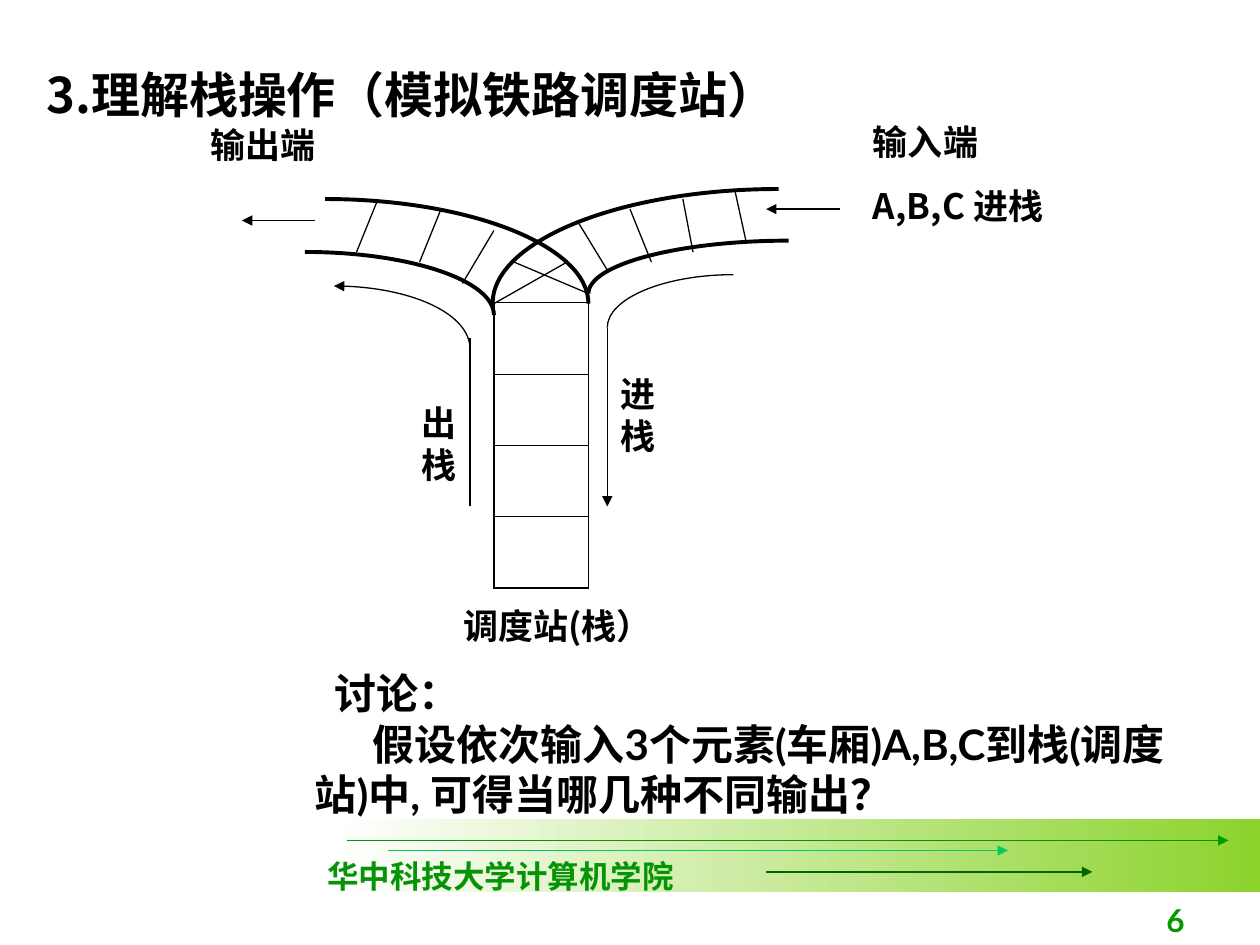
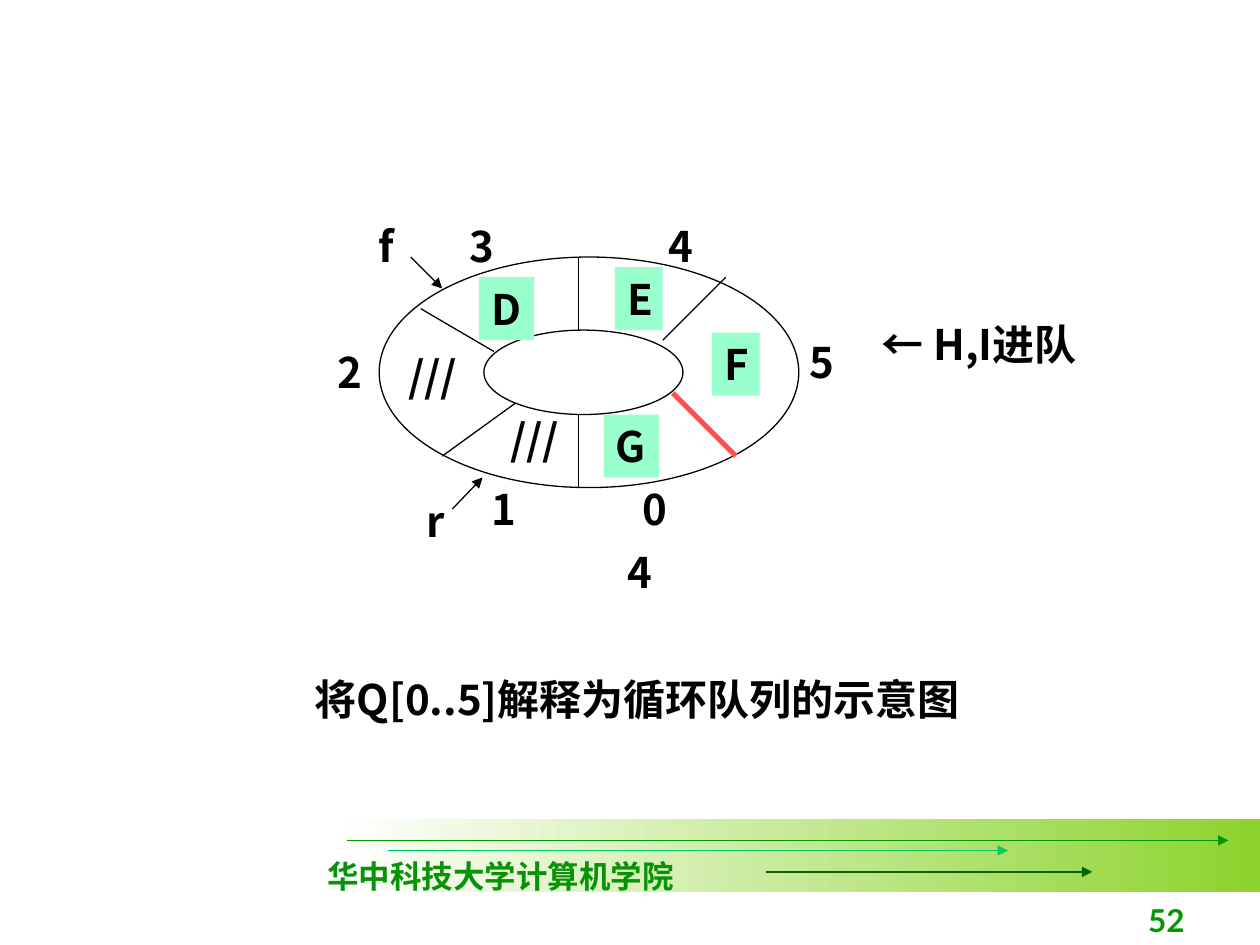
"""Build two slides on stacks (railway shunting station) and circular queues."""
from dataclasses import dataclass

from lxml.etree import SubElement
from pptx import Presentation
from pptx.dml.color import RGBColor
from pptx.enum.shapes import MSO_CONNECTOR, MSO_SHAPE
from pptx.enum.text import MSO_ANCHOR, PP_ALIGN
from pptx.oxml.ns import qn
from pptx.util import Emu, Pt

EMU_PER_PX = 9144
CJK = "Noto Sans CJK SC"
LATO = "Lato"
BLACK = "000000"
PAGE_GREEN = "009900"
SCHOOL_GREEN = "069406"
CELL_GREEN = "99FFCC"
REAR_RED = "FF5050"
BAND_STOPS = ("FFFFFF", "8CD32D")
LINE_HEIGHT = 1.2
QUARTER_PULL = 0.55


@dataclass(frozen=True)
class Label:
    """Text placed in a box; lengths in px, sizes in points."""

    text: str
    left: int
    top: int
    width: int
    height: int = 50
    size: int = 24
    font: str = CJK
    color: str = BLACK
    fill: str | None = None
    wrap: bool = False
    gap: float = 0
    spacing: float = LINE_HEIGHT
    align: PP_ALIGN = PP_ALIGN.LEFT
    anchor: MSO_ANCHOR = MSO_ANCHOR.TOP
    indents: tuple[int, ...] = ()


@dataclass(frozen=True)
class Stroke:
    """A straight line or quarter-ellipse between two points in px."""

    x1: int
    y1: int
    x2: int
    y2: int
    color: str = BLACK
    weight: float = 0.75
    arrow: str | None = None


FOOTER_ARROWS = (
    Stroke(275, 667, 975, 667, PAGE_GREEN, arrow="tailEnd"),
    Stroke(308, 675, 800, 675, "00CC66", arrow="tailEnd"),
    Stroke(608, 692, 867, 692, "006600", arrow="tailEnd"),
)
SCHOOL = Label("华中科技大学计算机学院", 250, 675, 295, 40, 18,
               "Times New Roman", SCHOOL_GREEN)

BENDS = (
    Stroke(242, 200, 392, 250, weight=2.25),
    Stroke(258, 158, 467, 241, weight=2.25),
    Stroke(618, 150, 391, 241, weight=2.25),
    Stroke(626, 191, 467, 233, weight=2.25),
    Stroke(582, 218, 482, 260),
    Stroke(265, 227, 373, 277, arrow="headEnd"),
)
TRACK_LINES = (
    Stroke(408, 208, 467, 233),
    Stroke(392, 241, 450, 208),
    Stroke(392, 183, 367, 225),
    Stroke(350, 166, 333, 208),
    Stroke(300, 158, 283, 200),
    Stroke(458, 175, 483, 216),
    Stroke(500, 166, 517, 208),
    Stroke(542, 158, 550, 200),
    Stroke(583, 150, 592, 191),
    Stroke(667, 166, 608, 166, arrow="tailEnd"),
    Stroke(250, 175, 192, 175, arrow="tailEnd"),
    Stroke(482, 260, 482, 402, arrow="tailEnd"),
    Stroke(373, 402, 373, 268),
)
STATION_LABELS = (
    Label("3.理解栈操作（模拟铁路调度站）", 27, 52, 811, 52, 28, wrap=True,
          spacing=1.06),
    Label("输出端", 157, 93, 115, 44, 20),
    Label("输入端\nA,B,C 进栈", 683, 91, 175, 94, 20, wrap=True, gap=12.5),
    Label("进栈", 483, 291, 50, 77, 20, wrap=True),
    Label("出\n栈", 325, 314, 48, 77, 20),
    Label("调度站(栈）", 358, 475, 183, 44, 20, wrap=True),
    Label("讨论：\n假设依次输入3个元素(车厢)A,B,C到栈(调度站)中, 可得当哪几种不同输出？",
          240, 525, 734, 130, font=LATO, wrap=True, indents=(16, 46)),
)

RING_OUTLINES = ((301, 204, 333, 183), (384, 262, 158, 67))
RING_LINES = (
    Stroke(459, 204, 459, 262),
    Stroke(459, 329, 459, 387),
    Stroke(534, 312, 584, 362, REAR_RED, 3),
    Stroke(526, 270, 576, 220),
    Stroke(334, 245, 392, 279),
    Stroke(351, 362, 409, 320),
    Stroke(326, 204, 351, 229, arrow="tailEnd"),
    Stroke(359, 404, 383, 379, arrow="tailEnd"),
)
SLOT_INDEXES = (("0", 500, 379), ("1", 380, 379), ("2", 258, 270),
                ("3", 363, 170), ("4", 521, 170), ("5", 633, 262),
                ("4", 488, 429))
QUEUED = (("D", 380, 220, 44), ("E", 488, 212, 38),
          ("F", 565, 264, 38), ("G", 479, 329, 44))
QUEUE_LABELS = (
    *(Label(index, left, top, 39) for index, left, top in SLOT_INDEXES),
    *(Label(item, left, top, width, fill=CELL_GREEN)
      for item, left, top, width in QUEUED),
    Label("///", 314, 273, 61),
    Label("///", 395, 323, 61),
    Label("f", 291, 170, 33),
    Label("r", 329, 388, 35),
    Label("← H,I进队", 690, 248, 176, 90, wrap=True),
    Label("将Q[0..5]解释为循环队列的示意图", 240, 530, 559, wrap=True),
)


def px(length: float) -> Emu:
    """Turn px into EMU."""
    return Emu(round(length * EMU_PER_PX))


def rgb(code: str) -> RGBColor:
    """Turn a hex string into a colour."""
    return RGBColor.from_string(code)


def apply_format(target, values: dict) -> None:
    """Set each named attribute on the target."""
    for attribute, value in values.items():
        setattr(target, attribute, value)


def style_line(shape, stroke: Stroke) -> None:
    """Give a shape the colour, weight and arrowhead of a stroke."""
    shape.line.color.rgb = rgb(stroke.color)
    shape.line.width = Pt(stroke.weight)
    if stroke.arrow:
        outline = shape.element.find(".//" + qn("a:ln"))
        SubElement(outline, qn(f"a:{stroke.arrow}"), type="triangle")


def draw_line(slide, stroke: Stroke) -> None:
    """Draw a straight stroke."""
    line = slide.shapes.add_connector(
        MSO_CONNECTOR.STRAIGHT,
        *map(px, (stroke.x1, stroke.y1, stroke.x2, stroke.y2)))
    style_line(line, stroke)
    SubElement(line.element.find(qn("p:spPr")), qn("a:effectLst"))


def draw_bend(slide, stroke: Stroke) -> None:
    """Draw a quarter-ellipse as one Bezier curve, level at its start."""
    pulled_x = stroke.x1 + (stroke.x2 - stroke.x1) * QUARTER_PULL
    pulled_y = stroke.y2 + (stroke.y1 - stroke.y2) * QUARTER_PULL
    controls = ((pulled_x, stroke.y1), (stroke.x2, pulled_y),
                (stroke.x2, stroke.y2))
    builder = slide.shapes.build_freeform(px(stroke.x1), px(stroke.y1))
    builder.add_line_segments([(px(x), px(y)) for x, y in controls],
                              close=False)
    bend = builder.convert_to_shape()
    outline = bend.element.find(".//" + qn("a:path"))
    curve = SubElement(outline, qn("a:cubicBezTo"))
    for segment in outline.findall(qn("a:lnTo")):
        curve.append(segment[0])
        outline.remove(segment)
    bend.fill.background()
    bend.shadow.inherit = False
    style_line(bend, stroke)


def draw_label(slide, label: Label) -> None:
    """Draw a label, on a filled box if it has a fill."""
    place = map(px, (label.left, label.top, label.width, label.height))
    if label.fill:
        box = slide.shapes.add_shape(MSO_SHAPE.RECTANGLE, *place)
        box.shadow.inherit = False
        box.fill.solid()
        box.fill.fore_color.rgb = rgb(label.fill)
        box.line.fill.background()
    else:
        box = slide.shapes.add_textbox(*place)
    frame = box.text_frame
    frame.text = label.text
    apply_format(frame, {"word_wrap": label.wrap,
                         "vertical_anchor": label.anchor})
    for number, paragraph in enumerate(frame.paragraphs):
        apply_format(paragraph, {"alignment": label.align,
                                 "line_spacing": Pt(label.size * label.spacing)})
        if number and label.gap:
            paragraph.space_before = Pt(label.gap)
        if label.indents:
            properties = paragraph._p.get_or_add_pPr()
            properties.set("indent", str(px(label.indents[number])))
        for run in paragraph.runs:
            apply_format(run.font, {"name": label.font, "bold": True,
                                    "size": Pt(label.size)})
            run.font.color.rgb = rgb(label.color)
            SubElement(run.font._element, qn("a:ea"), typeface=CJK)


def draw_footer(slide, page: int) -> None:
    """Draw the green band, its arrows, the school and the page number."""
    band = slide.shapes.add_shape(MSO_SHAPE.RECTANGLE,
                                  *map(px, (267, 650, 733, 58)))
    band.shadow.inherit = False
    band.line.fill.background()
    band.fill.gradient()
    band.fill.gradient_angle = 0
    for position, (stop, code) in enumerate(
            zip(band.fill.gradient_stops, BAND_STOPS)):
        stop.position = position
        stop.color.rgb = rgb(code)
    for arrow in FOOTER_ARROWS:
        draw_line(slide, arrow)
    draw_label(slide, SCHOOL)
    draw_label(slide, Label(str(page), 742, 700, 208, 50, 18, LATO, PAGE_GREEN,
                            wrap=True, align=PP_ALIGN.RIGHT,
                            anchor=MSO_ANCHOR.BOTTOM))


def draw_stack(slide, rows: int = 4) -> None:
    """Draw the empty stack as a one-column table."""
    stack = slide.shapes.add_table(
        rows, 1, *map(px, (392, 240, 75, 227))).table
    apply_format(stack, {"first_row": False, "horz_banding": False})
    for number in range(rows):
        cell = stack.cell(number, 0)
        bottom = 1.08 if number == rows - 1 else 0.45
        properties = cell._tc.get_or_add_tcPr()
        for side, weight in zip("LRTB", (1.08, 1.08, 0.45, bottom)):
            border = SubElement(properties, qn(f"a:ln{side}"),
                                w=str(Pt(weight)))
            paint = SubElement(border, qn("a:solidFill"))
            SubElement(paint, qn("a:srgbClr"), val=BLACK)
        cell.fill.background()


def build_station(slide) -> None:
    """Draw the railway station that models a stack."""
    draw_stack(slide)
    for bend in BENDS:
        draw_bend(slide, bend)
    for line in TRACK_LINES:
        draw_line(slide, line)
    for label in STATION_LABELS:
        draw_label(slide, label)


def build_queue(slide) -> None:
    """Draw the ring that models a circular queue."""
    for outline in RING_OUTLINES:
        ring = slide.shapes.add_shape(MSO_SHAPE.OVAL, *map(px, outline))
        ring.shadow.inherit = False
        ring.fill.background()
        style_line(ring, Stroke(*outline))
    for line in RING_LINES:
        draw_line(slide, line)
    for label in QUEUE_LABELS:
        draw_label(slide, label)


def main() -> None:
    """Build and save the slides."""
    deck = Presentation()
    apply_format(deck, {"slide_width": px(1000), "slide_height": px(750)})
    for page, build in ((6, build_station), (52, build_queue)):
        slide = deck.slides.add_slide(deck.slide_layouts[6])
        draw_footer(slide, page)
        build(slide)
    deck.save("out.pptx")


if __name__ == "__main__":
    main()
